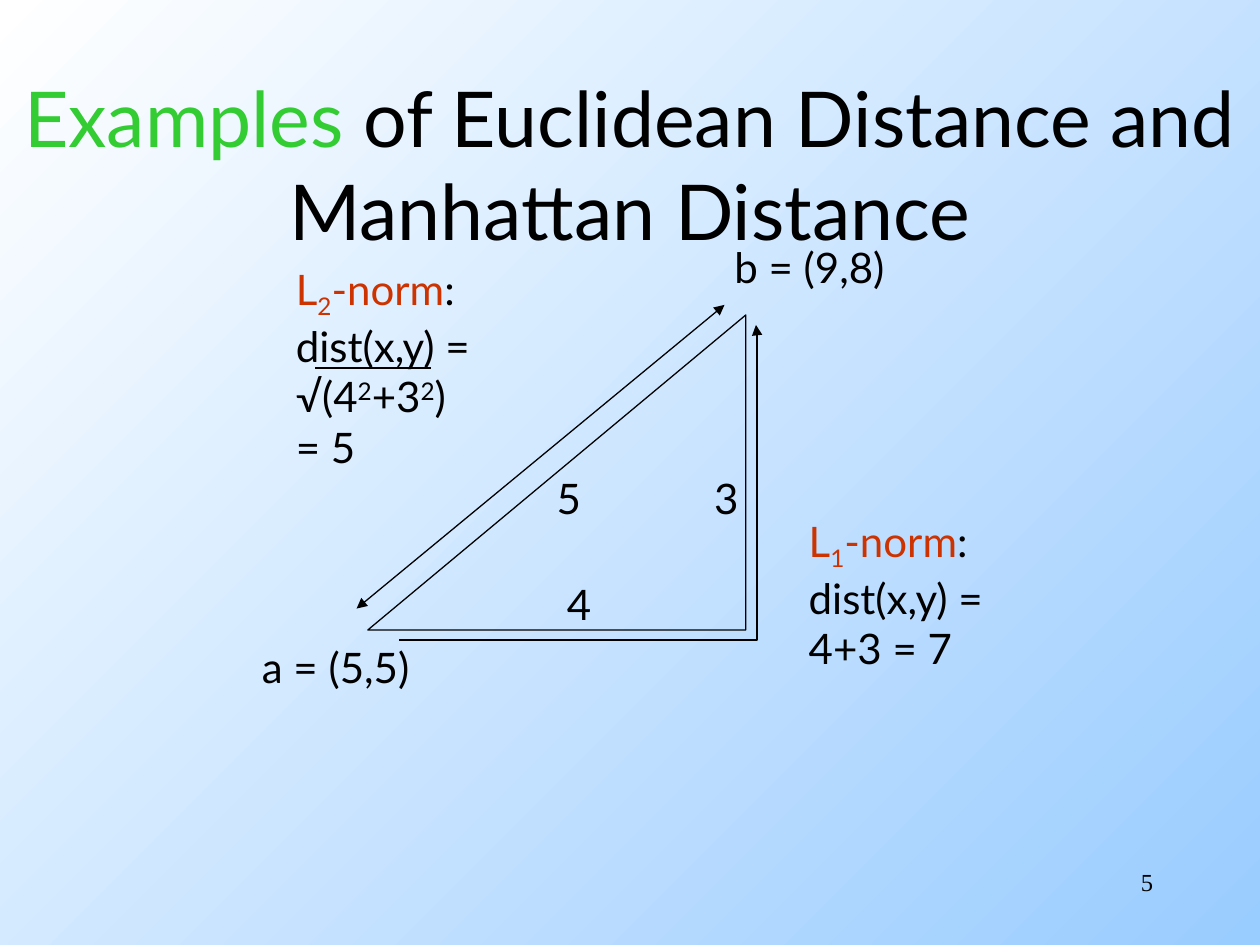
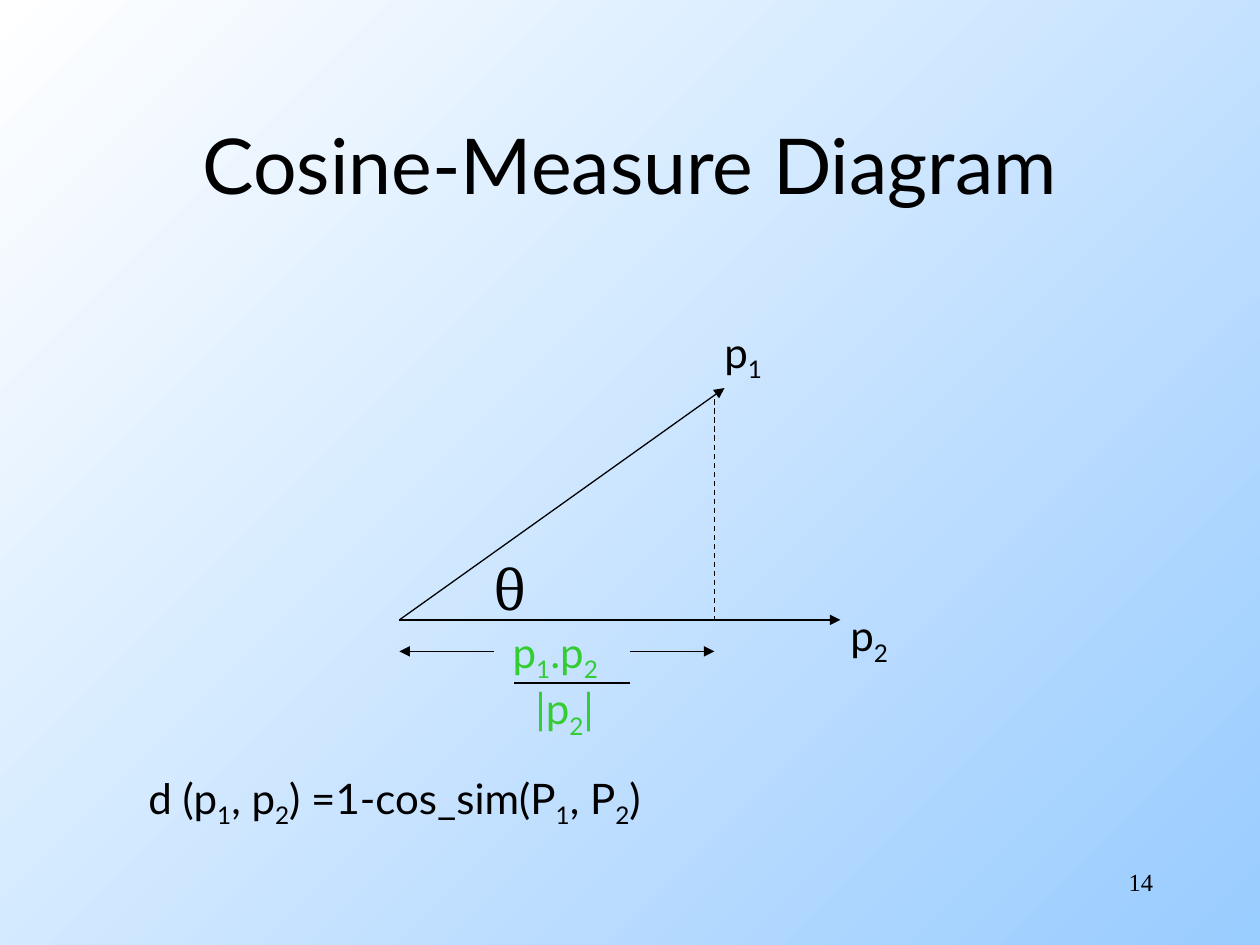
from dataclasses import dataclass
from typing import NamedTuple

from lxml import etree
from pptx import Presentation
from pptx.dml.color import RGBColor
from pptx.enum import dml, shapes, text
from pptx.oxml.ns import qn
from pptx.util import Inches, Pt


@dataclass(frozen=True)
class Theme:
    """Colours, fonts and sizes shared by the slides."""
    ink: str = "000000"
    green: str = "33CC33"
    red: str = "CC3300"
    sky: tuple = ("FFFFFF", "99CCFF")
    body_font: str = "Lato"
    number_font: str = "Times New Roman"
    symbol_font: str = "Cambria"
    title: int = 44
    symbol: int = 32
    body: int = 24
    number: int = 14
    line: float = 0.75


T = Theme()


class Run(NamedTuple):
    """A piece of text with its colour and baseline shift in percent."""
    words: str
    color: str = T.ink
    base: int = 0


def sub(words, color=T.ink):
    """Return a subscript run."""
    return Run(words, color, -25)


def sup(words, color=T.ink):
    """Return a superscript run."""
    return Run(words, color, 30)


def add_text(slide, box, paragraphs, size=T.body, font=T.body_font,
             align=text.PP_ALIGN.LEFT, anchor=text.MSO_ANCHOR.TOP, wrap=False):
    """Add a text box from paragraphs, each a list of runs."""
    tf = slide.shapes.add_textbox(*map(Inches, box)).text_frame
    tf.word_wrap = wrap
    tf.auto_size = text.MSO_AUTO_SIZE.NONE if wrap else text.MSO_AUTO_SIZE.SHAPE_TO_FIT_TEXT
    tf.vertical_anchor = anchor
    for i, runs in enumerate(paragraphs):
        p = tf.add_paragraph() if i else tf.paragraphs[0]
        p.alignment = align
        for run in runs:
            r = p.add_run()
            r.text = run.words
            r.font.size, r.font.name = Pt(size), font
            r.font.color.rgb = RGBColor.from_string(run.color)
            if run.base:
                r.font._element.set("baseline", str(run.base * 1000))


def add_label(slide, left, top, width, *runs, height=0.5, **style):
    """Add a one-line label."""
    add_text(slide, (left, top, width, height), [runs], **style)


def set_line(sp):
    """Give a shape or connector the thin ink line."""
    sp.line.color.rgb = RGBColor.from_string(T.ink)
    sp.line.width = Pt(T.line)


def add_line(slide, start, end, arrows=(), kind=shapes.MSO_CONNECTOR.STRAIGHT, dashed=False):
    """Draw a connector with arrowheads at the named ends."""
    sp = slide.shapes.add_connector(kind, *map(Inches, (*start, *end)))
    set_line(sp)
    if dashed:
        sp.line.dash_style = dml.MSO_LINE.DASH
    spPr = sp._element.spPr
    for name in arrows:
        etree.SubElement(spPr.find(qn("a:ln")), qn(f"a:{name}End"), type="triangle")
    etree.SubElement(spPr, qn("a:effectLst"))
    return sp


def add_frame(prs, title, title_box, number):
    """Add a slide with the gradient, title and slide number."""
    slide = prs.slides.add_slide(prs.slide_layouts[6])
    fill = slide.background.fill
    fill.gradient()
    fill.gradient_angle = 315
    for stop, color in zip(fill.gradient_stops, T.sky):
        stop.color.rgb = RGBColor.from_string(color)
    add_text(slide, (7.17, 6.83, 2.08, 0.5), [[Run(str(number))]], T.number,
             T.number_font, text.PP_ALIGN.RIGHT, wrap=True)
    add_text(slide, title_box, [title], T.title, align=text.PP_ALIGN.CENTER,
             anchor=text.MSO_ANCHOR.MIDDLE, wrap=True)
    return slide


def add_norm(slide, box, order, *formula):
    """Add a norm's heading and the lines of its formula."""
    heading = [Run("L", T.red), sub(order, T.red), Run("-norm", T.red), Run(":")]
    add_text(slide, box, [heading, [Run("dist(x,y) =")], *formula])


def add_triangle(slide, box):
    """Draw the right triangle with its points, sides and paths."""
    x, y, w, h = box
    right, bottom = x + w, y + h
    sp = slide.shapes.add_shape(shapes.MSO_SHAPE.RIGHT_TRIANGLE, *map(Inches, box))
    sp.shadow.inherit = False
    sp.fill.background()
    set_line(sp)
    sp._element.spPr.find(qn("a:xfrm")).set("flipH", "1")

    add_label(slide, x - 0.94, bottom + 0.04, 1.55, Run("a = (5,5)"))
    add_label(slide, right - 0.19, y - 0.63, 1.56, Run("b = (9,8)"))
    for side, dx, dy in (("4", 1.48, 2.04), ("3", 2.65, 1.2), ("5", 1.4, 1.2)):
        add_label(slide, x + dx, y + dy, 0.38, Run(side))

    add_line(slide, (x - 0.09, bottom - 0.17), (right - 0.17, y - 0.08), ("head", "tail"))
    path_line = add_line(slide, (x + 0.25, bottom + 0.08), (right + 0.08, y + 0.08),
                         ("tail",), shapes.MSO_CONNECTOR.ELBOW)
    guides = path_line._element.spPr.find(qn("a:prstGeom")).find(qn("a:avLst"))
    etree.SubElement(guides, qn("a:gd"), name="adj1", fmla="val 100300")


def add_projection(slide, box):
    """Draw the two vectors, their angle and the projected length."""
    x, y, w, h = box
    base, foot, tip = y + h, x + 2.5, x + 2.58
    add_line(slide, (x, base), (tip, y), ("tail",))
    add_line(slide, (x, base), (x + w, base), ("tail",))
    add_line(slide, (foot, y + 0.09), (foot, base), dashed=True)
    add_label(slide, tip - 0.1, y - 0.54, 0.51, Run("p"), sub("1"))
    add_label(slide, x + w - 0.02, base - 0.13, 0.51, Run("p"), sub("2"))
    add_label(slide, x + 0.65, base - 0.57, 0.43, Run("θ"), height=0.63,
              size=T.symbol, font=T.symbol_font)

    level = base + 0.25
    add_line(slide, (x + 0.75, level), (x, level), ("tail",))
    add_line(slide, (x + 1.83, level), (foot, level), ("tail",))
    add_label(slide, x + 0.8, base, 0.91, Run("p", T.green), sub("1", T.green),
              Run(".p", T.green), sub("2", T.green))
    add_line(slide, (x + 0.91, base + 0.5), (x + 1.83, base + 0.5))
    add_label(slide, x + 0.98, base + 0.45, 0.76, Run("|p", T.green),
              sub("2", T.green), Run("|", T.green))


def build_distances(prs):
    """Build the slide comparing the two distances."""
    title = [Run("Examples", T.green), Run(" of Euclidean Distance and Manhattan Distance")]
    slide = add_frame(prs, title, (0, 0.67, 10, 1.25), 5)
    add_triangle(slide, (2.92, 2.5, 3, 2.5))
    root = [Run("√(4"), sup("2"), Run("+3"), sup("2"), Run(")")]
    add_norm(slide, (2.25, 2.04, 1.76, 1.7), "2", root, [Run("= 5")])
    add_line(slide, (2.5, 2.92), (3.42, 2.92))
    add_norm(slide, (6.32, 4.04, 1.76, 1.3), "1", [Run("4+3 = 7")])


def build_cosine(prs):
    """Build the slide on the cosine measure."""
    slide = add_frame(prs, [Run("Cosine-Measure Diagram")], (0.75, 0.67, 8.5, 1.25), 14)
    add_projection(slide, (3.17, 3.08, 3.5, 1.84))
    add_label(slide, 1.08, 6.08, 4.5, Run("d (p"), sub("1"), Run(", p"), sub("2"),
              Run(") =1-cos_sim(P"), sub("1"), Run(", P"), sub("2"), Run(")"))


def main():
    """Build and save the presentation."""
    prs = Presentation()
    prs.slide_width, prs.slide_height = Inches(10), Inches(7.5)
    build_distances(prs)
    build_cosine(prs)
    prs.save("out.pptx")


if __name__ == "__main__":
    main()
